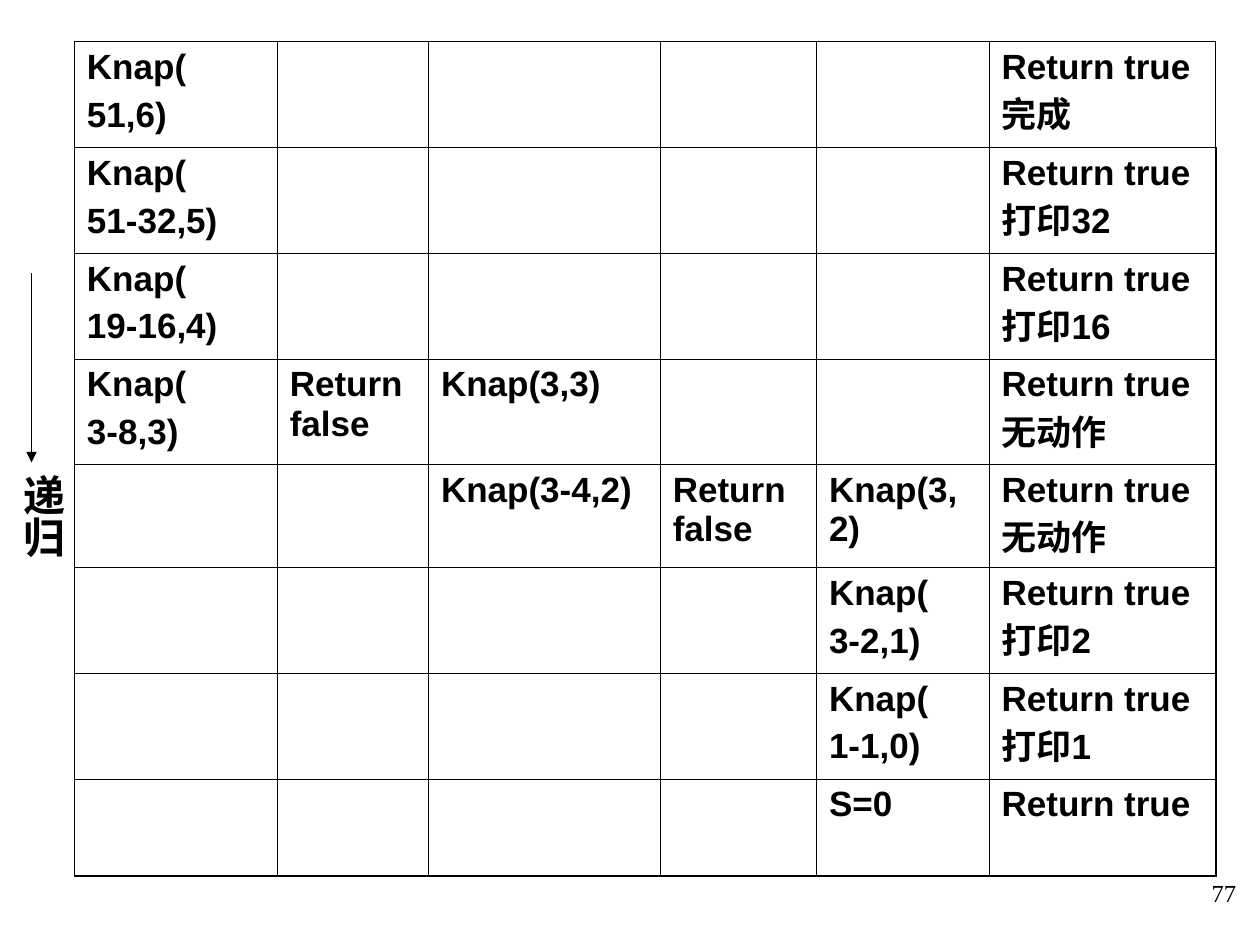
"""Build a slide tracing the recursive calls of the knapsack function."""
from dataclasses import dataclass

from lxml.etree import SubElement
from pptx import Presentation
from pptx.dml.color import RGBColor
from pptx.enum.shapes import MSO_CONNECTOR
from pptx.enum.text import MSO_AUTO_SIZE, PP_ALIGN
from pptx.oxml.ns import qn
from pptx.util import Inches, Pt


@dataclass(frozen=True)
class Theme:
    ink: RGBColor = RGBColor(0, 0, 0)
    table_font: str = "Arial"
    side_font: str = "Times New Roman"
    call_size: int = 20
    label_size: int = 24
    number_size: int = 14
    thin: float = 0.45
    thick: float = 1.08
    arrow: float = 1


@dataclass(frozen=True)
class Label:
    text: str
    left: float
    top: float
    width: float
    height: float
    size: int
    align: PP_ALIGN
    bold: bool = False
    vertical: bool = False
    space_before: int = 0


THEME = Theme()
COLUMN_WIDTHS = (1.61, 1.2, 1.84, 1.24, 1.37, 1.8)
ROW_HEIGHTS = (0.84, 0.84, 0.84, 0.84, 0.77, 0.84, 0.84, 0.77)
TRACE = (
    ("Knap(\n51,6)", "", "", "", "", "Return true 完成"),
    ("Knap(\n51-32,5)", "", "", "", "", "Return true 打印32"),
    ("Knap(\n19-16,4)", "", "", "", "", "Return true 打印16"),
    ("Knap(\n3-8,3)", "Return false", "Knap(3,3)", "", "", "Return true 无动作"),
    ("", "", "Knap(3-4,2)", "Return false", "Knap(3,2)", "Return true 无动作"),
    ("", "", "", "", "Knap(\n3-2,1)", "Return true 打印2"),
    ("", "", "", "", "Knap(\n1-1,0)", "Return true 打印1"),
    ("", "", "", "", "S=0", "Return true"),
)
LABELS = (
    Label("递归", -0.01, 3.67, 0.6, 1.33, THEME.label_size, PP_ALIGN.CENTER,
          bold=True, vertical=True, space_before=15),
    Label("77", 7.83, 6.92, 2.08, 0.5, THEME.number_size, PP_ALIGN.RIGHT),
)


def style_font(font, name: str, size: int, bold: bool) -> None:
    """Apply the typeface, size, weight and ink colour."""
    for attribute, value in {"name": name, "size": Pt(size), "bold": bold}.items():
        setattr(font, attribute, value)
    font.color.rgb = THEME.ink


def draw_border(cell, side: str, width: float) -> None:
    """Add one solid cell border."""
    line = SubElement(cell._tc.get_or_add_tcPr(), qn(f"a:ln{side}"), w=str(Pt(width)))
    fill = SubElement(line, qn("a:solidFill"))
    SubElement(fill, qn("a:srgbClr"), val=str(THEME.ink))


def border_widths(row: int, column: int) -> dict[str, float]:
    """Give heavy outer borders, leaving two light stretches at the top right."""
    heavy = {
        "L": column == 0,
        "R": column == len(COLUMN_WIDTHS) - 1 and row > 0,
        "T": row == 0 and column != 4,
        "B": row == len(ROW_HEIGHTS) - 1,
    }
    return {side: THEME.thick if outer else THEME.thin for side, outer in heavy.items()}


def draw_trace(slide, left: float, top: float) -> None:
    """Draw the table of recursive calls and their results."""
    table = slide.shapes.add_table(
        len(ROW_HEIGHTS), len(COLUMN_WIDTHS), Inches(left), Inches(top),
        Inches(sum(COLUMN_WIDTHS)), Inches(sum(ROW_HEIGHTS))).table
    table.first_row = table.horz_banding = False
    for column, width in zip(table.columns, COLUMN_WIDTHS):
        column.width = Inches(width)
    for row, height in zip(table.rows, ROW_HEIGHTS):
        row.height = Inches(height)
    for row, calls in enumerate(TRACE):
        for column, call in enumerate(calls):
            cell = table.cell(row, column)
            for side, width in border_widths(row, column).items():
                draw_border(cell, side, width)
            cell.fill.background()
            if call:
                cell.text = call
                for paragraph in cell.text_frame.paragraphs:
                    paragraph.space_before = Pt(5)
                    style_font(paragraph.runs[0].font, THEME.table_font,
                               THEME.call_size, True)


def draw_label(slide, label: Label) -> None:
    """Draw a text box, set vertically when the label asks for it."""
    frame = slide.shapes.add_textbox(
        Inches(label.left), Inches(label.top),
        Inches(label.width), Inches(label.height)).text_frame
    frame.word_wrap = True
    if label.vertical:
        frame.auto_size = MSO_AUTO_SIZE.SHAPE_TO_FIT_TEXT
        frame._txBody.bodyPr.set("vert", "eaVert")
        margins = {"margin_left": 0.05, "margin_right": 0.05,
                   "margin_top": 0.1, "margin_bottom": 0.1}
        for attribute, value in margins.items():
            setattr(frame, attribute, Inches(value))
    paragraph = frame.paragraphs[0]
    paragraph.alignment = label.align
    paragraph.space_before = Pt(label.space_before)
    run = paragraph.add_run()
    run.text = label.text
    style_font(run.font, THEME.side_font, label.size, label.bold)


def draw_down_arrow(slide, x: float, top: float, bottom: float) -> None:
    """Draw the arrow showing the direction of recursion."""
    arrow = slide.shapes.add_connector(
        MSO_CONNECTOR.STRAIGHT, Inches(x), Inches(top), Inches(x), Inches(bottom))
    arrow.line.color.rgb = THEME.ink
    arrow.line.width = Pt(THEME.arrow)
    SubElement(arrow.line._get_or_add_ln(), qn("a:tailEnd"), type="triangle")
    SubElement(arrow._element.spPr, qn("a:effectLst"))


def main() -> None:
    """Assemble and save the slide."""
    deck = Presentation()
    deck.slide_width, deck.slide_height = Inches(10), Inches(7.5)
    slide = deck.slides.add_slide(deck.slide_layouts[6])
    draw_trace(slide, 0.59, 0.33)
    draw_down_arrow(slide, 0.25, 2.17, 3.67)
    for label in LABELS:
        draw_label(slide, label)
    deck.save("out.pptx")


if __name__ == "__main__":
    main()
